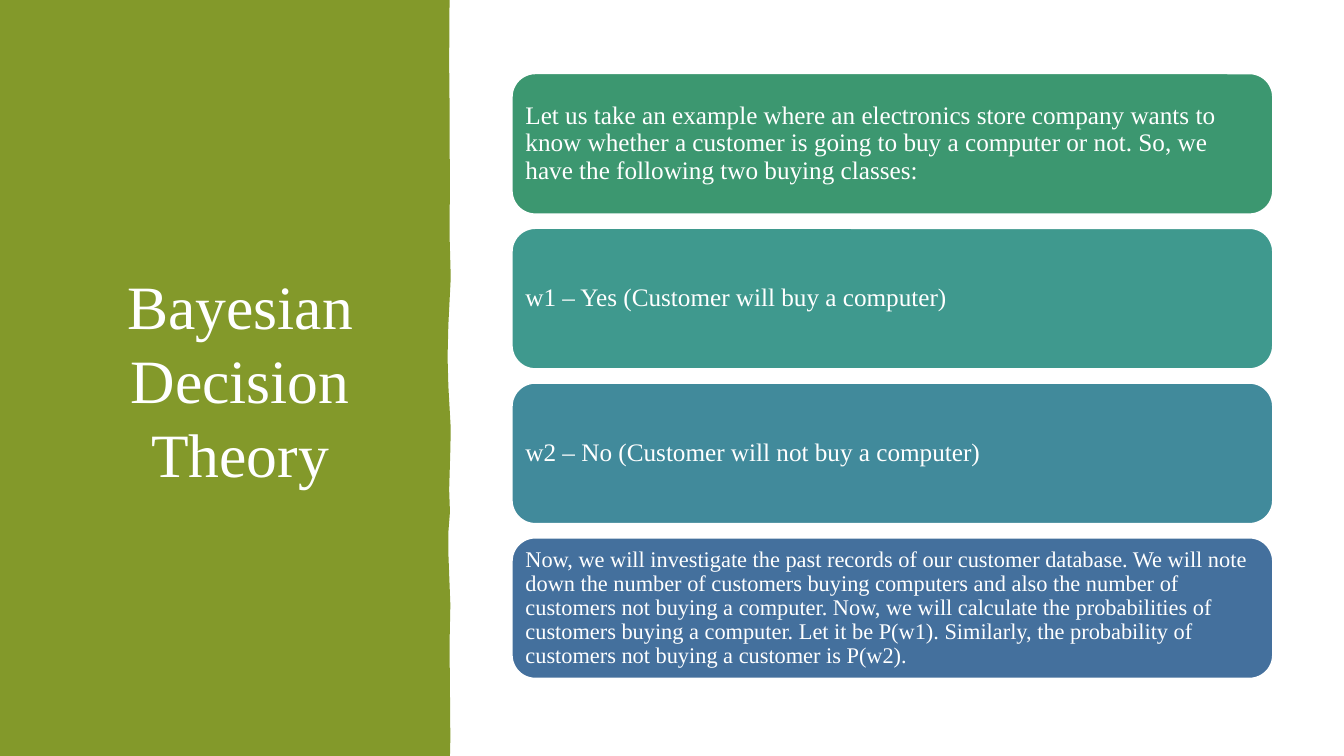
from pptx import Presentation
from pptx import util as u
from pptx.dml.color import RGBColor
from pptx.enum import shapes, text

WHITE = "FFFFFF"


def color(hex_string):
    return RGBColor.from_string(hex_string)


def write(frame, words, size, align):
    frame.word_wrap = True
    frame.vertical_anchor = text.MSO_ANCHOR.MIDDLE
    paragraph = frame.paragraphs[0]
    paragraph.alignment = align
    run = paragraph.add_run()
    run.text = words
    run.font.name = "Times New Roman"
    run.font.size = u.Pt(size)
    run.font.color.rgb = color(WHITE)
    return paragraph


prs = Presentation()
prs.slide_width, prs.slide_height = u.Cm(33.87), u.Cm(19.05)
slide = prs.slides.add_slide(prs.slide_layouts[6])

# Green side panel with a torn right edge, as (x, y) in cm
torn_edge = [
    (11.33, 0), (11.32, 1.6), (11.33, 2.59), (11.33, 3.58), (11.34, 4.42),
    (11.33, 5.92), (11.36, 7), (11.3, 8.18), (11.28, 9), (11.3, 9.73),
    (11.36, 10.8), (11.35, 11.33), (11.32, 12.34), (11.34, 12.9),
    (11.3, 13.41), (11.3, 13.94), (11.35, 15.24), (11.33, 16.23),
    (11.34, 17.4), (11.35, 18.62), (11.34, 19.05),
]
outline = [(u.Cm(x), u.Cm(y)) for x, y in torn_edge + [(0, 19.05)]]
builder = slide.shapes.build_freeform(0, 0)
builder.add_line_segments(outline, close=True)
panel = builder.convert_to_shape()
panel.shadow.inherit = False
panel.fill.solid()
panel.fill.fore_color.rgb = color("83992A")
panel.line.fill.background()

# Title
title = slide.shapes.add_textbox(u.Cm(1.75), u.Cm(1.78), u.Cm(8.61), u.Cm(15.52))
write(title.text_frame, "Bayesian Decision Theory", 44, text.PP_ALIGN.CENTER)

# Stacked steps of the example
steps = [
    ("3C9770", 18, "Let us take an example where an electronics store company wants to "
     "know whether a customer is going to buy a computer or not. So, we have the "
     "following two buying classes:"),
    ("3F998E", 18, "w1 – Yes (Customer will buy a computer)"),
    ("418A9B", 18, "w2 – No (Customer will not buy a computer)"),
    ("44709D", 16, "Now, we will investigate the past records of our customer database. "
     "We will note down the number of customers buying computers and also the number "
     "of customers not buying a computer. Now, we will calculate the probabilities of "
     "customers buying a computer. Let it be P(w1). Similarly, the probability of "
     "customers not buying a customer is P(w2)."),
]
for row, (fill, size, words) in enumerate(steps):
    step = slide.shapes.add_shape(
        shapes.MSO_SHAPE.ROUNDED_RECTANGLE,
        u.Cm(12.9), u.Cm(1.85 + 3.9 * row), u.Cm(19.18), u.Cm(3.55))
    step.shadow.inherit = False
    step.fill.solid()
    step.fill.fore_color.rgb = color(fill)
    step.line.color.rgb = color(WHITE)
    step.line.width = u.Pt(1.25)
    frame = step.text_frame
    frame.margin_left = frame.margin_right = u.Cm(0.17)
    frame.margin_top = frame.margin_bottom = u.Cm(0.17)
    write(frame, words, size, text.PP_ALIGN.LEFT).line_spacing = 0.9

prs.save("out.pptx")
